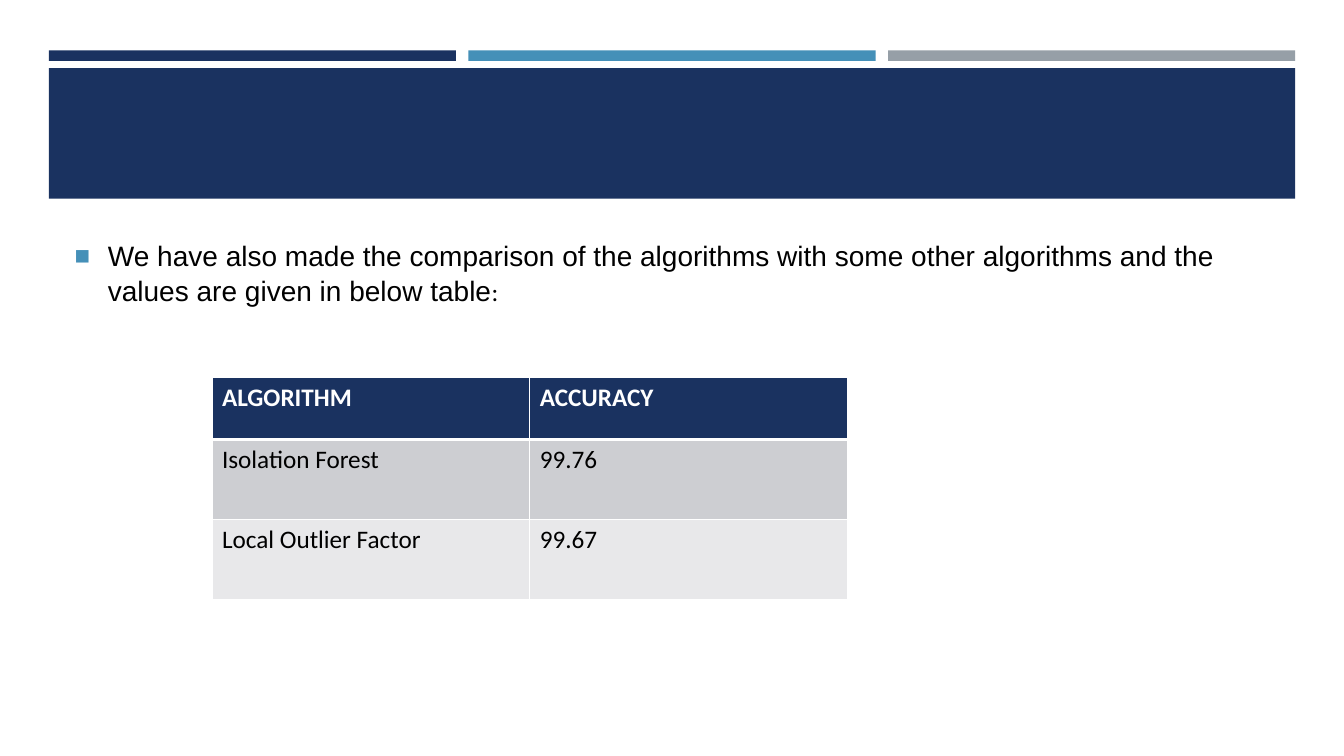
from lxml.etree import SubElement
from pptx import Presentation
from pptx.dml.color import RGBColor
from pptx.enum.shapes import MSO_SHAPE
from pptx.enum.text import MSO_ANCHOR, MSO_AUTO_SIZE
from pptx.oxml.ns import qn
from pptx.util import Inches, Pt

WIDE, HIGH = Inches(13.33), Inches(7.5)
NAVY, BLUE, GRAY = "1A3260", "4590B8", "969FA7"
BLACK, WHITE = "000000", "FFFFFF"
ROWS = [("ALGORITHM", "ACCURACY"),
        ("Isolation Forest", "99.76"),
        ("Local Outlier Factor", "99.67")]
FILLS = [NAVY, "CDCED2", "E8E8EA"]
SHARES = [0.28, 0.36, 0.36]


def area(left, top, width, height):
    """Turn percentages of the slide into a box of lengths."""
    return (int(WIDE * left / 100), int(HIGH * top / 100),
            int(WIDE * width / 100), int(HIGH * height / 100))


def paint(target, color):
    target.solid()
    target.fore_color.rgb = RGBColor.from_string(color)


def add_run(para, text, size, font, color=BLACK, bold=False):
    run = para.add_run()
    run.text = text
    run.font.size, run.font.name, run.font.bold = Pt(size), font, bold
    paint(run.font.fill, color)


def add_bar(slide, box, color):
    bar = slide.shapes.add_shape(MSO_SHAPE.RECTANGLE, *box)
    bar.shadow.inherit = False
    paint(bar.fill, color)
    bar.line.fill.background()


def add_banner(slide, box):
    left, top, width, height = box
    strip, gap = int(height * 0.07), int(width * 0.01)
    part = (width - 2 * gap) // 3
    for i, color in enumerate([NAVY, BLUE, GRAY]):
        add_bar(slide, (left + i * (part + gap), top, part, strip), color)
    start = int(height * 0.12)
    add_bar(slide, (left, top + start, width, height - start), NAVY)


def add_bullet(para):
    props = para._p.get_or_add_pPr()
    props.set("marL", str(Inches(0.33)))
    props.set("indent", str(-Inches(0.33)))
    tint = SubElement(props, qn("a:buClr"))
    SubElement(tint, qn("a:srgbClr"), val=BLUE)
    SubElement(props, qn("a:buSzPct"), val="92000")
    SubElement(props, qn("a:buFont"), typeface="Arial")
    SubElement(props, qn("a:buChar"), char="■")


def fill_body(body, box):
    body.left, body.top, body.width, body.height = box
    frame = body.text_frame
    frame.word_wrap = True
    frame.auto_size = MSO_AUTO_SIZE.NONE
    frame.vertical_anchor = MSO_ANCHOR.TOP
    para = frame.paragraphs[0]
    para.line_spacing = 1.05
    para.space_before, para.space_after = Pt(0), Pt(6)
    add_bullet(para)
    add_run(para, "We have also made the comparison of the algorithms with "
            "some other algorithms and the values are given in below table",
            20, "Arial")
    add_run(para, ":", 18, "Calibri")


def edge_cell(cell, head, under):
    """Draw white borders, thick between the header and the next row."""
    props = cell._tc.get_or_add_tcPr()
    thick = {"lnB": head, "lnT": under}
    for i, side in enumerate(["lnL", "lnR", "lnT", "lnB"]):
        size = Pt(3 if thick.get(side) else 1)
        line = SubElement(props, qn(f"a:{side}"), w=str(size))
        solid = SubElement(line, qn("a:solidFill"))
        SubElement(solid, qn("a:srgbClr"), val=WHITE)
    paint(cell.fill, FILLS[0])


def add_scores(slide, box):
    table = slide.shapes.add_table(len(ROWS), len(ROWS[0]), *box).table
    for r, row in enumerate(ROWS):
        table.rows[r].height = int(box[3] * SHARES[r])
        head = r == 0
        for c, text in enumerate(row):
            cell = table.cell(r, c)
            edge_cell(cell, head, r == 1)
            paint(cell.fill, FILLS[r])
            add_run(cell.text_frame.paragraphs[0], text, 18, "Calibri",
                    WHITE if head else BLACK, head)


def main():
    deck = Presentation()
    deck.slide_width, deck.slide_height = WIDE, HIGH
    slide = deck.slides.add_slide(deck.slide_layouts[1])
    title, body = slide.placeholders
    title.element.getparent().remove(title.element)
    add_banner(slide, area(3.64, 6.67, 92.72, 19.6))
    fill_body(body, area(4.8, 30.67, 90.45, 12))
    add_scores(slide, area(15.77, 49.93, 47.3, 29.33))
    deck.save("out.pptx")


if __name__ == "__main__":
    main()
